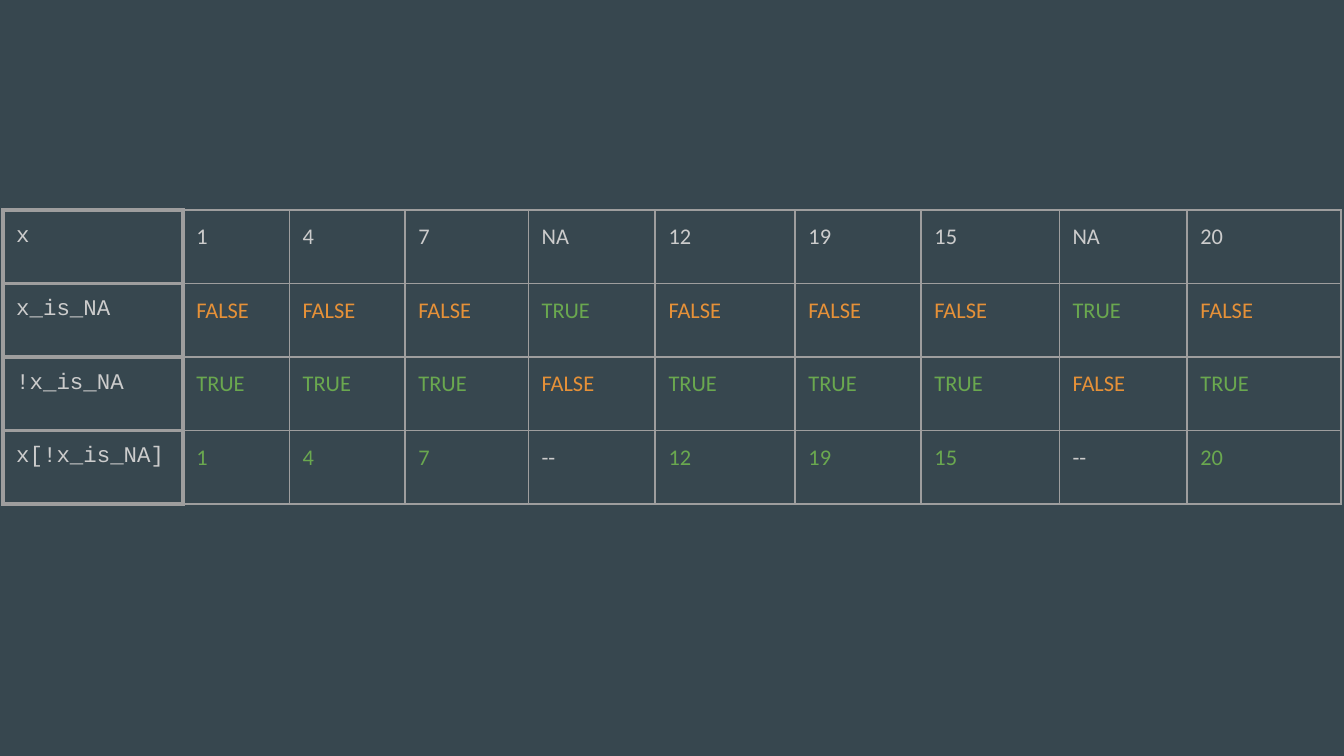
from lxml.etree import SubElement
from pptx import Presentation
from pptx.dml.color import RGBColor
from pptx.oxml.ns import qn
from pptx.util import Pt

SLATE = "37474F"
GRAY = "9E9E9E"
LIGHT = "CCCCCC"
ORANGE = "E69138"
GREEN = "6AA84F"
THIN, THICK = 0.75, 2.25

VALUES = ["1", "4", "7", "NA", "12", "19", "15", "NA", "20"]
COLUMN_WIDTHS = [96.5, 57, 62, 66, 68, 75, 67.5, 74, 68.5, 82.5]


def color(hex_string):
    return RGBColor.from_string(hex_string)


def set_borders(cell, widths):
    properties = cell._tc.get_or_add_tcPr()
    for side, width in zip("LRTB", widths):
        line = SubElement(properties, qn(f"a:ln{side}"), w=str(Pt(width)))
        fill = SubElement(line, qn("a:solidFill"))
        SubElement(fill, qn("a:srgbClr"), val=GRAY)
        SubElement(line, qn("a:prstDash"), val="solid")


def fill_cell(cell, text, font_name, text_color, widths):
    set_borders(cell, widths)
    cell.fill.background()
    cell.margin_left = cell.margin_right = Pt(7.2)
    cell.margin_top = cell.margin_bottom = Pt(7.2)
    paragraph = cell.text_frame.paragraphs[0]
    paragraph.text = text
    font = paragraph.runs[0].font
    font.name = font_name
    font.size = Pt(12)
    font.color.rgb = color(text_color)


def logic_rows():
    missing = [value == "NA" for value in VALUES]
    present = [not flag for flag in missing]
    shades = {"TRUE": GREEN, "FALSE": ORANGE}
    rows = [("x", [(value, LIGHT) for value in VALUES])]
    for label, flags in (("x_is_NA", missing), ("!x_is_NA", present)):
        words = [str(flag).upper() for flag in flags]
        rows.append((label, [(word, shades[word]) for word in words]))
    kept = [(value, GREEN) if keep else ("--", LIGHT)
            for value, keep in zip(VALUES, present)]
    rows.append(("x[!x_is_NA]", kept))
    return rows


def add_logic_table(slide, left, top, width, height):
    rows = logic_rows()
    frame = slide.shapes.add_table(
        len(rows), len(COLUMN_WIDTHS), Pt(left), Pt(top), Pt(width), Pt(height))
    table = frame.table
    table.first_row = False
    table.horz_banding = False
    scale = width / sum(COLUMN_WIDTHS)
    for column, column_width in zip(table.columns, COLUMN_WIDTHS):
        column.width = Pt(column_width * scale)
    for row_index, (label, entries) in enumerate(rows):
        table.rows[row_index].height = Pt(height / len(rows))
        fill_cell(table.cell(row_index, 0), label, "Courier New", LIGHT, [THICK] * 4)
        for column_index, (text, shade) in enumerate(entries, 1):
            left_width = THICK if column_index == 1 else THIN
            fill_cell(table.cell(row_index, column_index), text, "Calibri", shade,
                      [left_width, THIN, THIN, THIN])


def main():
    presentation = Presentation()
    presentation.slide_width = Pt(720)
    presentation.slide_height = Pt(405)
    slide = presentation.slides.add_slide(presentation.slide_layouts[6])
    slide.background.fill.solid()
    slide.background.fill.fore_color.rgb = color(SLATE)
    add_logic_table(slide, 1.5, 112.5, 717, 157.6)
    presentation.save("out.pptx")


if __name__ == "__main__":
    main()
